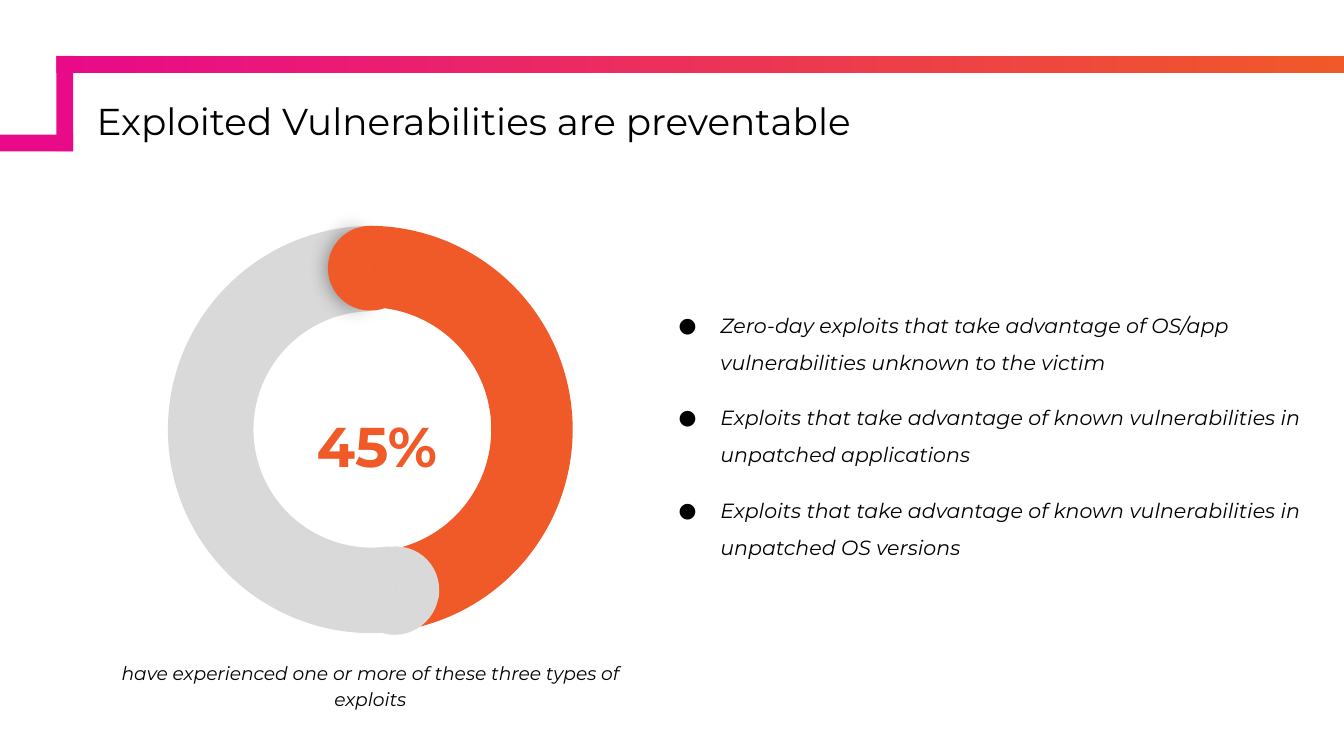
from lxml import etree
from pptx import Presentation
from pptx.dml.color import RGBColor
from pptx.enum.shapes import MSO_SHAPE
from pptx.enum.text import MSO_ANCHOR, MSO_AUTO_SIZE, PP_ALIGN
from pptx.oxml.ns import qn
from pptx.util import Pt

RECT, ARC, PIE = MSO_SHAPE.RECTANGLE, MSO_SHAPE.BLOCK_ARC, MSO_SHAPE.PIE
TOP, MIDDLE, BOTTOM = MSO_ANCHOR.TOP, MSO_ANCHOR.MIDDLE, MSO_ANCHOR.BOTTOM
LEFT, CENTER, RIGHT = PP_ALIGN.LEFT, PP_ALIGN.CENTER, PP_ALIGN.RIGHT
COLORS = {"pink": "E80A89", "orange": "F05A28", "gray": "D9D9D9", "black": "000000"}
FONT = "Montserrat"


def add_filled(kind, place, color, rotation=0, adjustments=()):
    shape = page.shapes.add_shape(kind, *[Pt(length) for length in place])
    shape.rotation = rotation
    shape.shadow.inherit = False
    shape.line.fill.background()
    shape.fill.solid()
    shape.fill.fore_color.rgb = RGBColor.from_string(COLORS[color])
    for index, value in enumerate(adjustments):
        shape.adjustments[index] = value
    return shape


def write_text(box, place, lines, size, align=LEFT, anchor=TOP, inset=7.2,
               spacing=1.15, color="black", bold=False, italic=False):
    box.left, box.top, box.width, box.height = [Pt(length) for length in place]
    frame = box.text_frame
    frame.word_wrap = True
    frame.auto_size = MSO_AUTO_SIZE.NONE
    frame.vertical_anchor = anchor
    frame.margin_left = frame.margin_right = Pt(inset)
    frame.margin_top = frame.margin_bottom = Pt(inset)
    for index, line in enumerate(lines):
        para = frame.add_paragraph() if index else frame.paragraphs[0]
        para.alignment = align
        para.line_spacing = spacing
        para.space_before = Pt(10 if index else 0)
        span = para.add_run()
        span.text = line
        span.font.name = FONT
        span.font.size = Pt(size)
        span.font.bold = bold
        span.font.italic = italic
        span.font.color.rgb = RGBColor.from_string(COLORS[color])
    return frame.paragraphs


deck = Presentation()
deck.slide_width, deck.slide_height = Pt(720), Pt(405)
page = deck.slides.add_slide(deck.slide_layouts[3])  # title and two bodies
title, caption, exploits = page.placeholders

# Stepped band around the title
top_band = add_filled(RECT, (30.2, 30, 695.5, 9), "pink")
top_band.fill.gradient()
top_band.fill.gradient_angle = 0
for stop, position, color in zip(top_band.fill.gradient_stops, (0, 1), ("pink", "orange")):
    stop.position = position
    stop.color.rgb = RGBColor.from_string(COLORS[color])
add_filled(RECT, (30.2, 30, 9, 51), "pink")
add_filled(RECT, (-6, 72.2, 45.2, 9), "pink")

# Title, caption and list
write_text(title, (48.2, 56.2, 650.2, 24.5), ["Exploited Vulnerabilities are preventable"],
           20, anchor=BOTTOM, inset=3.6, spacing=0.9)
caption_paras = write_text(
    caption, (51.1, 345.6, 294.5, 41.8),
    ["have experienced one or more of these three types of exploits"],
    10, align=CENTER, italic=True)
exploit_paras = write_text(
    exploits, (342.7, 138.2, 366.5, 184.3),
    ["Zero-day exploits that take advantage of OS/app vulnerabilities unknown to the victim",
     "Exploits that take advantage of known vulnerabilities in unpatched applications",
     "Exploits that take advantage of known vulnerabilities in unpatched OS versions"],
    11, anchor=MIDDLE, spacing=1.5, italic=True)
exploit_paras[-1].space_after = Pt(10)

# Bullets: none on the caption, hanging dots on the list
for para in caption_paras:
    props = para._p.get_or_add_pPr()
    props.set("marL", "0")
    props.set("indent", "0")
    etree.SubElement(props, qn("a:buNone"))
for para in exploit_paras:
    props = para._p.get_or_add_pPr()
    props.set("marL", str(Pt(36)))
    props.set("indent", str(-Pt(22.3)))
    bullet_color = etree.SubElement(props, qn("a:buClr"))
    etree.SubElement(bullet_color, qn("a:srgbClr"), val=COLORS["black"])
    etree.SubElement(props, qn("a:buFont"), typeface=FONT)
    etree.SubElement(props, qn("a:buChar"), char="●")

# Ring: two arcs, each with a rounded end made of two pies
add_filled(ARC, (88.6, 121, 218.2, 218.2), "orange", 60, (126.23, 13.13, 0.2))
add_filled(ARC, (90, 121, 218.2, 218.2), "gray", 300, (85.03, 197.03, 0.21))
LEFT_PIE, RIGHT_PIE = (61.9, 149.96), (40.28, 171.84)
gray_end, orange_end = (188, 293, 47.5, 46.8), (175.7, 121, 45.4, 45.4)
add_filled(PIE, gray_end, "gray", 120.7, LEFT_PIE)
add_filled(PIE, gray_end, "gray", 300, RIGHT_PIE)
shaded_cap = add_filled(PIE, orange_end, "orange", 0.7, LEFT_PIE)
add_filled(PIE, orange_end, "orange", 180, RIGHT_PIE)

# Soft shadow where the ring starts
effects = shaded_cap._element.spPr.find(qn("a:effectLst"))
shadow = etree.SubElement(effects, qn("a:outerShdw"), blurRad=str(Pt(11.2)),
                          dist="0", dir="0", algn="ctr", rotWithShape="0")
shadow_color = etree.SubElement(shadow, qn("a:srgbClr"), val=COLORS["black"])
etree.SubElement(shadow_color, qn("a:alpha"), val="43000")

# Share in the middle of the ring
share = page.shapes.add_textbox(0, 0, 0, 0)
write_text(share, (159.1, 208.1, 82.1, 51.1), ["45%"], 30, align=RIGHT,
           color="orange", bold=True)
share.text_frame.auto_size = MSO_AUTO_SIZE.SHAPE_TO_FIT_TEXT

deck.save("out.pptx")
